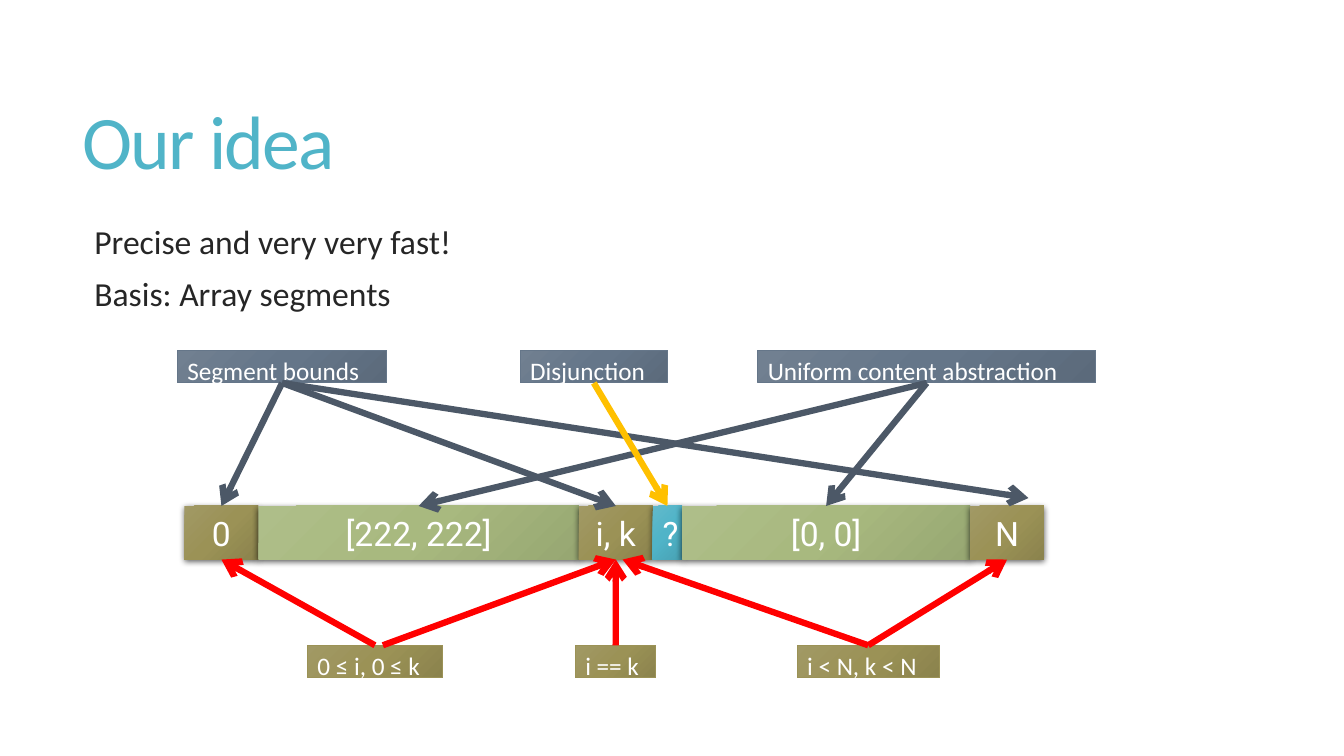
"""Build the slide that explains array segments, their bounds and their contents."""
from pptx import Presentation
from pptx import util as u
from pptx.dml import color
from pptx.enum import shapes, text
from pptx.oxml import ns, parse_xml

TITLE = "Our idea"
POINTS = ["Precise and very very fast!", "Basis: Array segments"]

GRADIENTS = {
    "bound": ("A19965", "9B9256", "8B834D"),
    "content": ("AEBE89", "A8B97F", "97A772"),
    "maybe": ("61B9CB", "50B4C8", "48A2B4"),
    "concept": ("718091", "657689", "5B6A7B"),
}
SEGMENTS = [
    ("0", "bound", 1.86),
    ("[222, 222]", "content", 8.08),
    ("i, k", "bound", 1.86),
    ("?", "maybe", 0.74),
    ("[0, 0]", "content", 7.26),
    ("N", "bound", 1.86),
]
CONCEPTS = [
    ("Segment bounds", 4.47, 5.28),
    ("Disjunction", 13.11, 3.71),
    ("Uniform content abstraction", 19.1, 8.51),
]
RELATIONS = [
    ("0 ≤ i, 0 ≤ k", 7.75, 3.4),
    ("i == k", 14.5, 2.03),
    ("i < N, k < N", 20.09, 3.58),
]
SLATE, AMBER, RED = "4C5867", "FFC000", "FF0000"
# label, segment, colour, start shift, end shift across, end shift down
ARROWS = [
    ("Segment bounds", "0", SLATE, 0, 0, 0),
    ("Segment bounds", "i, k", SLATE, 0, 0, 0),
    ("Segment bounds", "N", SLATE, 0, 0.54, -0.2),
    ("Uniform content abstraction", "[222, 222]", SLATE, 0, 0, 0),
    ("Uniform content abstraction", "[0, 0]", SLATE, 0, 0, 0),
    ("Disjunction", "?", AMBER, 0, 0, 0),
    ("0 ≤ i, 0 ≤ k", "0", RED, 0, 0, 0),
    ("0 ≤ i, 0 ≤ k", "i, k", RED, 0.2, 0, 0),
    ("i == k", "i, k", RED, 0, 0, 0),
    ("i < N, k < N", "i, k", RED, 0, 0.17, 0),
    ("i < N, k < N", "N", RED, 0, 0, 0),
]
ROW_LEFT, ROW_TOP, ROW_HEIGHT = 4.65, 12.75, 1.35
CONCEPT_TOP, RELATION_TOP, LABEL_HEIGHT = 8.84, 16.26, 0.81

TITLE_FONT = {"name": "Calibri", "size": u.Pt(54)}
POINT_FONT = {"name": "Calibri", "size": u.Pt(24)}
SEGMENT_FONT = {"name": "Roboto", "size": u.Pt(24)}
LABEL_FONT = {"name": "Calibri", "size": u.Pt(18)}
CENTRED = {"alignment": text.PP_ALIGN.CENTER}
LEFT = {"alignment": text.PP_ALIGN.LEFT}
TIGHT = {"line_spacing": 0.85}


def paint(target, hex_code):
    target.rgb = color.RGBColor.from_string(hex_code)


def apply(target, values):
    for name, value in values.items():
        setattr(target, name, value)


def write(paragraph, words, font, hex_code, layout):
    run = paragraph.add_run()
    run.text = words
    apply(run.font, font)
    paint(run.font.color, hex_code)
    apply(paragraph, layout)
    return run


def add_text_frame(slide, left, top, width, height, anchor):
    box = slide.shapes.add_textbox(*map(u.Cm, (left, top, width, height)))
    apply(box.text_frame, {"word_wrap": True, "vertical_anchor": anchor})
    return box.text_frame


def add_block(slide, place, words, kind, font, layout, anchor):
    block = slide.shapes.add_shape(shapes.MSO_SHAPE.RECTANGLE, *map(u.Cm, place))
    stops = "".join(
        f'<a:gs pos="{pos}"><a:srgbClr val="{hex_code}"/></a:gs>'
        for pos, hex_code in zip((0, 50000, 100000), GRADIENTS[kind]))
    block._element.spPr.find(ns.qn("a:prstGeom")).addnext(parse_xml(
        f'<a:gradFill {ns.nsdecls("a")} rotWithShape="1"><a:gsLst>{stops}</a:gsLst>'
        '<a:lin ang="2700000" scaled="0"/></a:gradFill>'))
    block.shadow.inherit = False
    apply(block.text_frame, {"word_wrap": True, "vertical_anchor": anchor})
    write(block.text_frame.paragraphs[0], words, font, "FFFFFF", layout)
    return block


def add_segment(slide, left, width, words, kind):
    segment = add_block(slide, (left, ROW_TOP, width, ROW_HEIGHT), words, kind,
                        SEGMENT_FONT, CENTRED, text.MSO_ANCHOR.MIDDLE)
    segment.line.fill.background()
    segment._element.spPr.find(ns.qn("a:effectLst")).append(parse_xml(
        f'<a:outerShdw {ns.nsdecls("a")} blurRad="57150" dist="19050" dir="5400000" '
        'algn="ctr" rotWithShape="0"><a:srgbClr val="000000"><a:alpha val="63000"/>'
        '</a:srgbClr></a:outerShdw>'))


def add_label(slide, left, top, width, words, kind):
    label = add_block(slide, (left, top, width, LABEL_HEIGHT), words, kind,
                      LABEL_FONT, LEFT, text.MSO_ANCHOR.TOP)
    paint(label.line.color, GRADIENTS[kind][1])
    label.line.width = u.Pt(0.75)


def add_arrow(slide, start, end, hex_code):
    arrow = slide.shapes.add_connector(
        shapes.MSO_CONNECTOR.STRAIGHT, *map(u.Cm, start + end))
    paint(arrow.line.color, hex_code)
    arrow.line.width = u.Pt(4.5)
    arrow.line._get_or_add_ln().append(
        parse_xml(f'<a:tailEnd {ns.nsdecls("a")} type="arrow"/>'))
    arrow._element.spPr.append(parse_xml(f'<a:effectLst {ns.nsdecls("a")}/>'))


def main():
    deck = Presentation()
    apply(deck, {"slide_width": u.Cm(33.87), "slide_height": u.Cm(19.05)})
    slide = deck.slides.add_slide(deck.slide_layouts[6])

    heading = add_text_frame(slide, 1.83, 1.4, 29.92, 4.6, text.MSO_ANCHOR.MIDDLE)
    run = write(heading.paragraphs[0], TITLE, TITLE_FONT, "50B4C8", TIGHT)
    run.font._element.set("spc", "-120")

    points = add_text_frame(slide, 1.88, 5.59, 29.87, 10.46, text.MSO_ANCHOR.TOP)
    for index, point in enumerate(POINTS):
        paragraph = points.add_paragraph() if index else points.paragraphs[0]
        paragraph._p.get_or_add_pPr().set("marL", str(u.Cm(0.25)))
        spacing = {"space_before": u.Pt(13)} if index else {}
        write(paragraph, point, POINT_FONT, "262626", {**TIGHT, **spacing})

    segment_centres = {}
    left = ROW_LEFT
    for words, kind, width in SEGMENTS:
        add_segment(slide, left, width, words, kind)
        segment_centres[words] = left + width / 2
        left += width

    label_ends = {}
    row_bottom = ROW_TOP + ROW_HEIGHT
    for labels, top, kind, start_y, end_y in (
            (CONCEPTS, CONCEPT_TOP, "concept", CONCEPT_TOP + LABEL_HEIGHT, ROW_TOP),
            (RELATIONS, RELATION_TOP, "bound", RELATION_TOP, row_bottom)):
        for words, left, width in labels:
            add_label(slide, left, top, width, words, kind)
            label_ends[words] = (left + width / 2, start_y, end_y)

    for label, segment, hex_code, start_shift, across, down in ARROWS:
        centre, start_y, end_y = label_ends[label]
        add_arrow(slide, (centre + start_shift, start_y),
                  (segment_centres[segment] + across, end_y + down), hex_code)

    deck.save("out.pptx")


if __name__ == "__main__":
    main()
